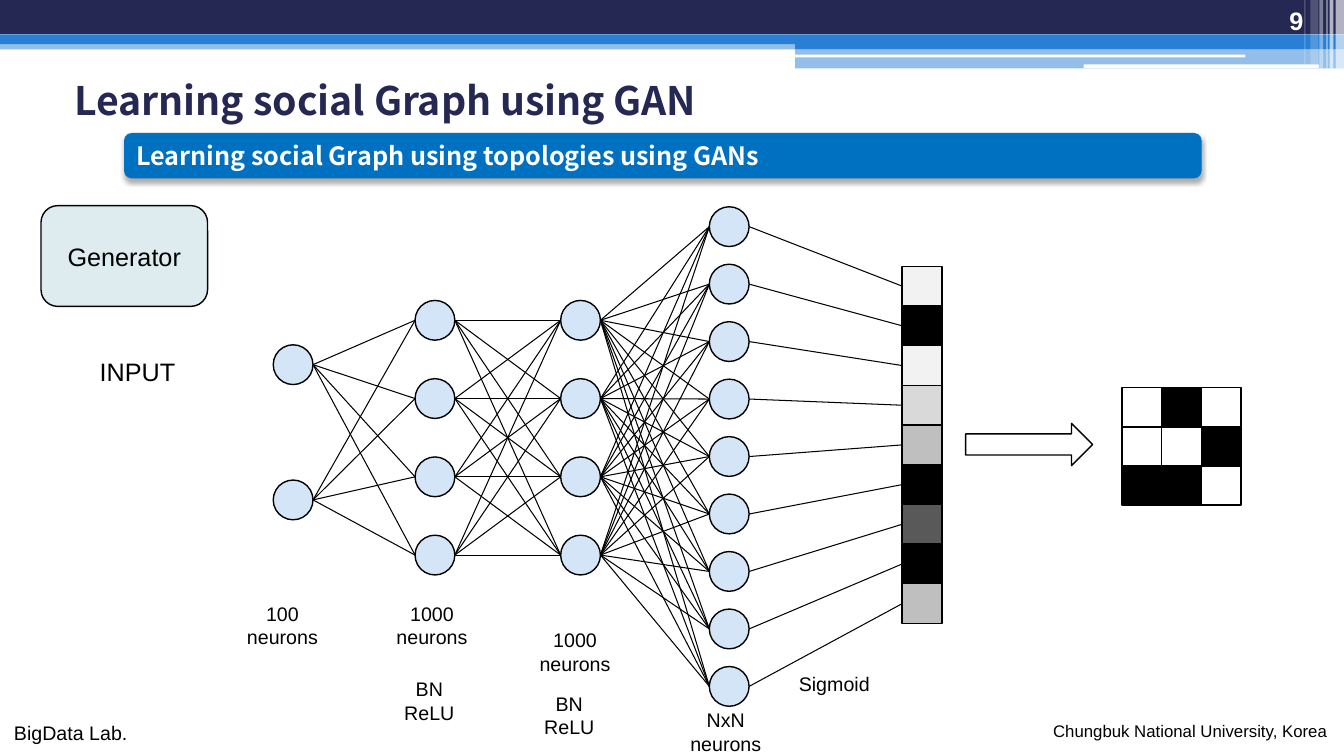
from itertools import product

from lxml import etree
from pptx import Presentation
from pptx.dml.color import RGBColor
from pptx.enum.shapes import MSO_CONNECTOR, MSO_SHAPE as SHAPE
from pptx.enum.text import MSO_ANCHOR as ANCHOR, MSO_AUTO_SIZE as AUTO, PP_ALIGN as ALIGN
from pptx.oxml.ns import qn
from pptx.util import Pt

BLACK, WHITE, NAVY, BLUE = "000000", "FFFFFF", "242852", "297FD5"
HEADING_FONT, BODY_FONT = "Noto Sans CJK KR", "Arial"
NEURON = 28.4

BANDS = [
    (0, 28.8, 960, 6.5, BLUE, 50),
    (0, 0, 960, 24.5, NAVY, 100),
    (0, 24.5, 960, 7, BLUE, 100),
    (568, 28, 392, 7, BLUE, 100),
    (568, 34.7, 392, 14.3, BLUE, 50),
]
HIGHLIGHTS = [(567.5, 39, 322, 2), (774, 46, 168, 2.7)]
STRIPES = [
    (954, 6, 49, 65),
    (949.7, 2.7, 49, 65),
    (947.5, 0.8, 49, 60),
    (942.5, 2.7, 49, 40),
    (936, 5.8, 46, 20),
    (931.7, 0.8, 46, 30),
]
LAYERS = [
    (195.2, 246.3, 96.6, 2),
    (296.5, 214.6, 55.9, 4),
    (400.5, 214.6, 55.9, 4),
    (506.7, 147.7, 41.05, 9),
]
OUTPUT_VECTOR = ["F2F2F2", BLACK, "F2F2F2", "D9D9D9", "BFBFBF",
                 BLACK, "595959", BLACK, "BFBFBF"]
ADJACENCY = ["010", "001", "110"]
LABELS = [
    (169, 426.2, 65.5, ["100", "neurons"]),
    (275.8, 426.2, 65.5, ["1000", "neurons"]),
    (378, 445, 65.5, ["1000", "neurons"]),
    (485.7, 502.4, 65.5, ["NxN", "neurons"]),
    (563.2, 476.6, 65.5, ["Sigmoid"]),
    (281.5, 480.2, 50.4, ["BN", "ReLU"]),
    (381.5, 490.6, 50.4, ["BN", "ReLU"]),
]


def rgb(code):
    """Turn a hex string into a colour."""
    return RGBColor.from_string(code)


def write(frame, lines, size, color=BLACK, font=BODY_FONT, bold=False,
          align=ALIGN.LEFT, anchor=ANCHOR.TOP):
    """Fill a text frame with one paragraph per line."""
    frame.vertical_anchor = anchor
    for index, line in enumerate(lines):
        paragraph = frame.add_paragraph() if index else frame.paragraphs[0]
        paragraph.alignment = align
        run = paragraph.add_run()
        run.text = line
        run.font.size, run.font.name, run.font.bold = Pt(size), font, bold
        run.font.color.rgb = rgb(color)


def add_box(slide, kind, x, y, width, height, fill, outline=None, opacity=100):
    """Add a flat preset shape, optionally outlined or see-through."""
    box = slide.shapes.add_shape(kind, Pt(x), Pt(y), Pt(width), Pt(height))
    box.shadow.inherit = False
    box.fill.solid()
    box.fill.fore_color.rgb = rgb(fill)
    if opacity < 100:
        color = box.fill._xPr.find(qn("a:solidFill"))[0]
        etree.SubElement(color, qn("a:alpha"), val=str(opacity * 1000))
    if outline:
        box.line.color.rgb = rgb(outline)
        box.line.width = Pt(1)
    else:
        box.line.fill.background()
    return box


def add_label(slide, x, y, width, height, lines, size, wrap=False, **style):
    """Add a text box."""
    label = slide.shapes.add_textbox(Pt(x), Pt(y), Pt(width), Pt(height))
    label.text_frame.word_wrap = wrap
    label.text_frame.auto_size = AUTO.NONE if wrap else AUTO.SHAPE_TO_FIT_TEXT
    write(label.text_frame, lines, size, **style)


def add_edge(slide, start, end):
    """Join two points with a thin black line."""
    edge = slide.shapes.add_connector(MSO_CONNECTOR.STRAIGHT, *map(Pt, start + end))
    edge.line.color.rgb = rgb(BLACK)
    edge.line.width = Pt(0.75)
    etree.SubElement(edge._element.spPr, qn("a:effectLst"))


def add_cell(slide, x, y, height, fill):
    """Add one outlined cell of the vector or the matrix."""
    add_box(slide, SHAPE.RECTANGLE, x, y, 28.4, height, fill, BLACK)


def add_header(slide):
    """Draw the decorated band across the top and the page texts."""
    for x, y, width, height, fill, opacity in BANDS:
        add_box(slide, SHAPE.RECTANGLE, x, y, width, height, fill, opacity=opacity)
    for x, y, width, height in HIGHLIGHTS:
        add_box(slide, SHAPE.ROUNDED_RECTANGLE, x, y, width, height, WHITE)
    for x, width, height, opacity in STRIPES:
        add_box(slide, SHAPE.RECTANGLE, x, 0, width, height, WHITE, opacity=opacity)
    add_label(slide, 2.9, 511.2, 95.8, 24.5, ["BigData Lab."], 14)
    add_label(slide, 745.2, 511.2, 211.7, 21.8,
              ["Chungbuk National University, Korea"], 12)
    add_label(slide, 858.2, 0, 80, 28.8, ["9"], 18, wrap=True, color=WHITE,
              bold=True, align=ALIGN.RIGHT, anchor=ANCHOR.BOTTOM)


def add_headings(slide):
    """Format the title and add the shaded subtitle banner."""
    title = slide.shapes.title
    title.left, title.top, title.width, title.height = map(Pt, (37.4, 10.8, 867.6, 84.2))
    title.text_frame.auto_size = AUTO.NONE
    write(title.text_frame, ["Learning social Graph using GAN"], 28, NAVY,
          HEADING_FONT, True, anchor=ANCHOR.MIDDLE)
    paragraph = title.text_frame.paragraphs[0]
    paragraph.line_spacing = 2.1
    properties = paragraph._p.get_or_add_pPr()
    properties.set("marL", str(Pt(8.6)))
    properties.set("indent", "0")

    banner = add_box(slide, SHAPE.ROUNDED_RECTANGLE, 88.6, 95, 769.7, 32.4, "0070C0")
    write(banner.text_frame, ["Learning social Graph using topologies using GANs"],
          18, WHITE, HEADING_FONT, True, anchor=ANCHOR.MIDDLE)
    effects = banner._element.spPr.find(qn("a:effectLst"))
    shadow = etree.SubElement(effects, qn("a:outerShdw"), blurRad=str(Pt(3.5)),
                              dist=str(Pt(2.2)), dir="5400000", rotWithShape="0")
    shade = etree.SubElement(shadow, qn("a:srgbClr"), val=BLACK)
    etree.SubElement(shade, qn("a:alpha"), val="32000")


def add_network(slide):
    """Draw the neuron layers, the output vector and every edge."""
    layers = [[(x, top + row * step) for row in range(count)]
              for x, top, step, count in LAYERS]
    for x, y in (neuron for layer in layers for neuron in layer):
        add_box(slide, SHAPE.OVAL, x, y, NEURON, NEURON, "D4E5F7", BLACK)
    half = NEURON / 2
    for layer, following in zip(layers, layers[1:]):
        for (x1, y1), (x2, y2) in product(layer, following):
            add_edge(slide, (x1 + NEURON, y1 + half), (x2, y2 + half))
    for row, ((x, y), fill) in enumerate(zip(layers[-1], OUTPUT_VECTOR)):
        cell_top = 190.2 + row * 28.35
        add_cell(slide, 644.4, cell_top, 28.4, fill)
        add_edge(slide, (x + NEURON, y + half), (644.4, cell_top + half))


def add_matrix(slide):
    """Draw the arrow and the adjacency matrix it leads to."""
    add_box(slide, SHAPE.RIGHT_ARROW, 689.8, 302.4, 90.7, 30.2, WHITE, BLACK)
    for row, bits in enumerate(ADJACENCY):
        for column, bit in enumerate(bits):
            add_cell(slide, 801.4 + column * 28.4, 277 + row * 27.9, 27.9,
                     BLACK if bit == "1" else WHITE)


def main():
    """Build the slide and save it."""
    deck = Presentation()
    deck.slide_width, deck.slide_height = Pt(960), Pt(540)
    slide = deck.slides.add_slide(deck.slide_layouts[5])
    add_header(slide)
    add_headings(slide)
    add_network(slide)
    add_matrix(slide)
    generator = add_box(slide, SHAPE.ROUNDED_RECTANGLE, 29.3, 146.9, 119, 72,
                        "DEECEF", BLACK)
    write(generator.text_frame, ["Generator"], 18, align=ALIGN.CENTER,
          anchor=ANCHOR.MIDDLE)
    add_label(slide, 64.1, 251.3, 69.1, 28.8, ["INPUT"], 18)
    for x, y, width, lines in LABELS:
        add_label(slide, x, y, width, 7.5 + 17 * len(lines), lines, 14,
                  align=ALIGN.CENTER)
    deck.save("out.pptx")


if __name__ == "__main__":
    main()
